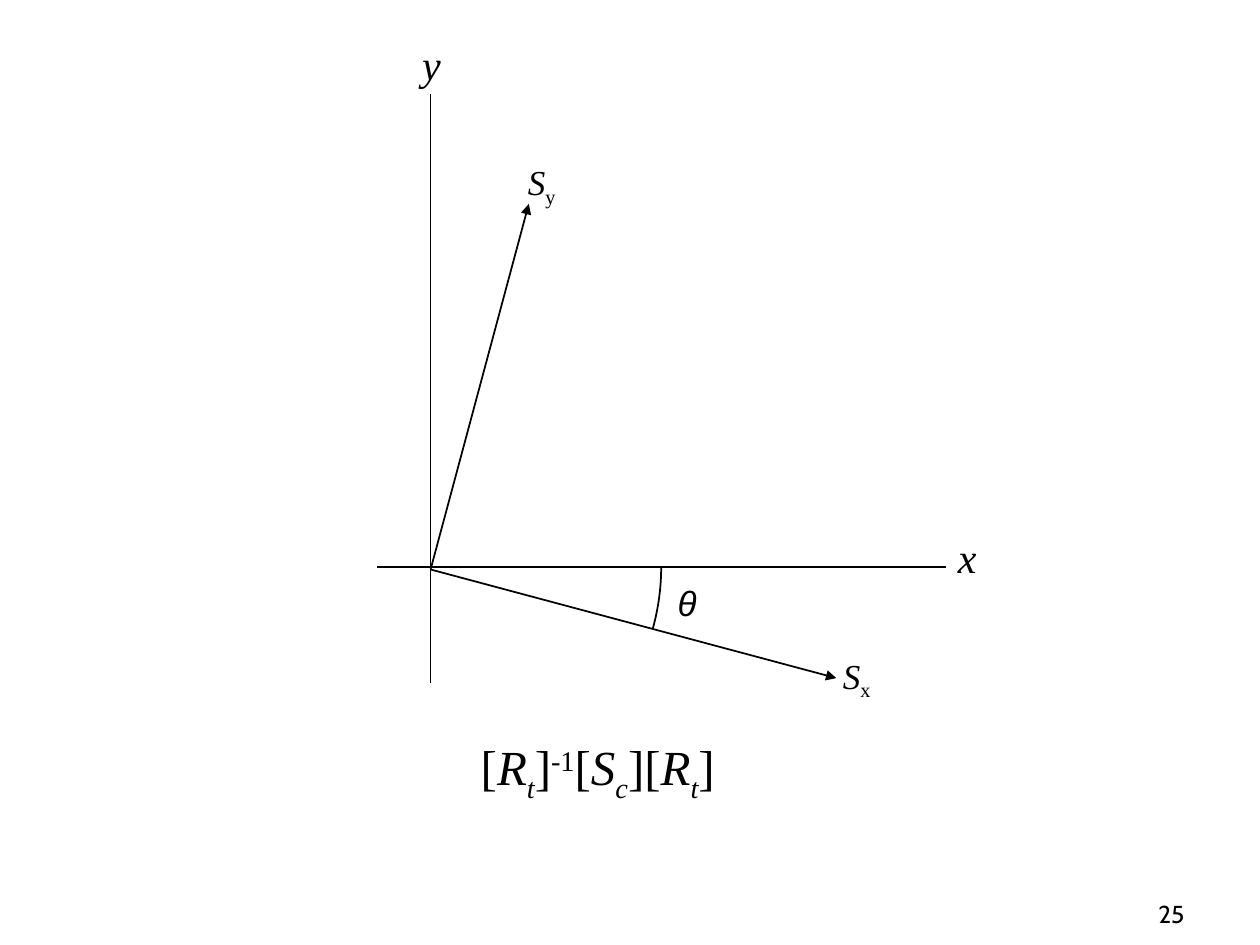
import math

from lxml import etree
from pptx import Presentation
from pptx import util as u
from pptx.dml.color import RGBColor
from pptx.enum import shapes, text
from pptx.oxml.ns import qn

BLACK = "000000"
SERIF = "Times New Roman"
ORIGIN = (8.68, 11.48)
AXIS_Y = 11.43
RADIUS = 4.65
SUB, SUPER = -25, 30


def color(value):
    return RGBColor.from_string(value)


def set_line(sp):
    sp.line.color.rgb = color(BLACK)
    sp.line.width = u.Pt(1)


def add_line(s, start, end, arrow=False):
    points = [u.Cm(v) for v in (*start, *end)]
    sp = s.shapes.add_connector(shapes.MSO_CONNECTOR.STRAIGHT, *points)
    set_line(sp)
    etree.SubElement(sp._element.spPr, qn("a:effectLst"))
    if arrow:
        ln = sp.line._get_or_add_ln()
        etree.SubElement(ln, qn("a:tailEnd"), type="triangle")


def add_angle(s, center, radius, degrees, steps=16):
    cx, cy = center
    angles = [math.radians(degrees * i / steps) for i in range(steps + 1)]
    points = [(u.Cm(cx + radius * math.cos(a)), u.Cm(cy + radius * math.sin(a)))
              for a in angles]
    builder = s.shapes.build_freeform(u.Cm(cx), u.Cm(cy))
    builder.move_to(*points[0])
    builder.add_line_segments(points[1:], close=False)
    sp = builder.convert_to_shape()
    sp.shadow.inherit = False
    sp.fill.background()
    set_line(sp)


def add_label(s, box, runs, size, font=SERIF, align=text.PP_ALIGN.LEFT,
              anchor=text.MSO_ANCHOR.TOP, wrap=False):
    sp = s.shapes.add_textbox(*[u.Cm(v) for v in box])
    tf = sp.text_frame
    tf.word_wrap = wrap
    tf.auto_size = text.MSO_AUTO_SIZE.NONE if wrap else text.MSO_AUTO_SIZE.SHAPE_TO_FIT_TEXT
    tf.vertical_anchor = anchor
    p = tf.paragraphs[0]
    p.alignment = align
    for content, italic, baseline in runs:
        r = p.add_run()
        r.text = content
        r.font.name = font
        r.font.size = u.Pt(size)
        r.font.italic = italic
        r.font.color.rgb = color(BLACK)
        if baseline:
            r._r.get_or_add_rPr().set("baseline", str(baseline * 1000))


def matrix(name, index):
    return [("[", False, 0), (name, True, 0), (index, True, SUB), ("]", False, 0)]


def main():
    prs = Presentation()
    prs.slide_width, prs.slide_height = u.Cm(25.4), u.Cm(19.05)
    s = prs.slides.add_slide(prs.slide_layouts[6])
    center, middle = text.PP_ALIGN.CENTER, text.MSO_ANCHOR.MIDDLE

    add_line(s, (7.6, AXIS_Y), (19.07, AXIS_Y))
    add_line(s, (ORIGIN[0], 13.77), (ORIGIN[0], 1.9))
    for name, left, top in (("x", 19.06, 10.6), ("y", 8.26, 0.66)):
        add_label(s, (left, top, 0.89, 1.27), [(name, True, 0)], 24)

    for tip in ((10.66, 4.11), (16.86, 13.67)):
        add_line(s, ORIGIN, tip, arrow=True)
    add_angle(s, (ORIGIN[0], AXIS_Y), RADIUS, 15.5)
    add_label(s, (13.41, 11.58, 0.86, 1.12), [("θ", True, 0)], 20, "Arial", center, middle)
    for name, left, top in (("y", 10.39, 3.12), ("x", 16.74, 13.06)):
        add_label(s, (left, top, 1.07, 1.22), [("S", True, 0), (name, False, SUB)], 20)

    rotation = matrix("R", "t")
    formula = rotation + [("-1", False, SUPER)] + matrix("S", "c") + rotation
    add_label(s, (9.25, 14.73, 5.6, 1.6), formula, 28, align=center, anchor=middle)
    add_label(s, (18.85, 17.58, 5.28, 1.27), [("25", False, 0)], 14, "Cabin",
              text.PP_ALIGN.RIGHT, text.MSO_ANCHOR.BOTTOM, wrap=True)
    prs.save("out.pptx")


if __name__ == "__main__":
    main()
